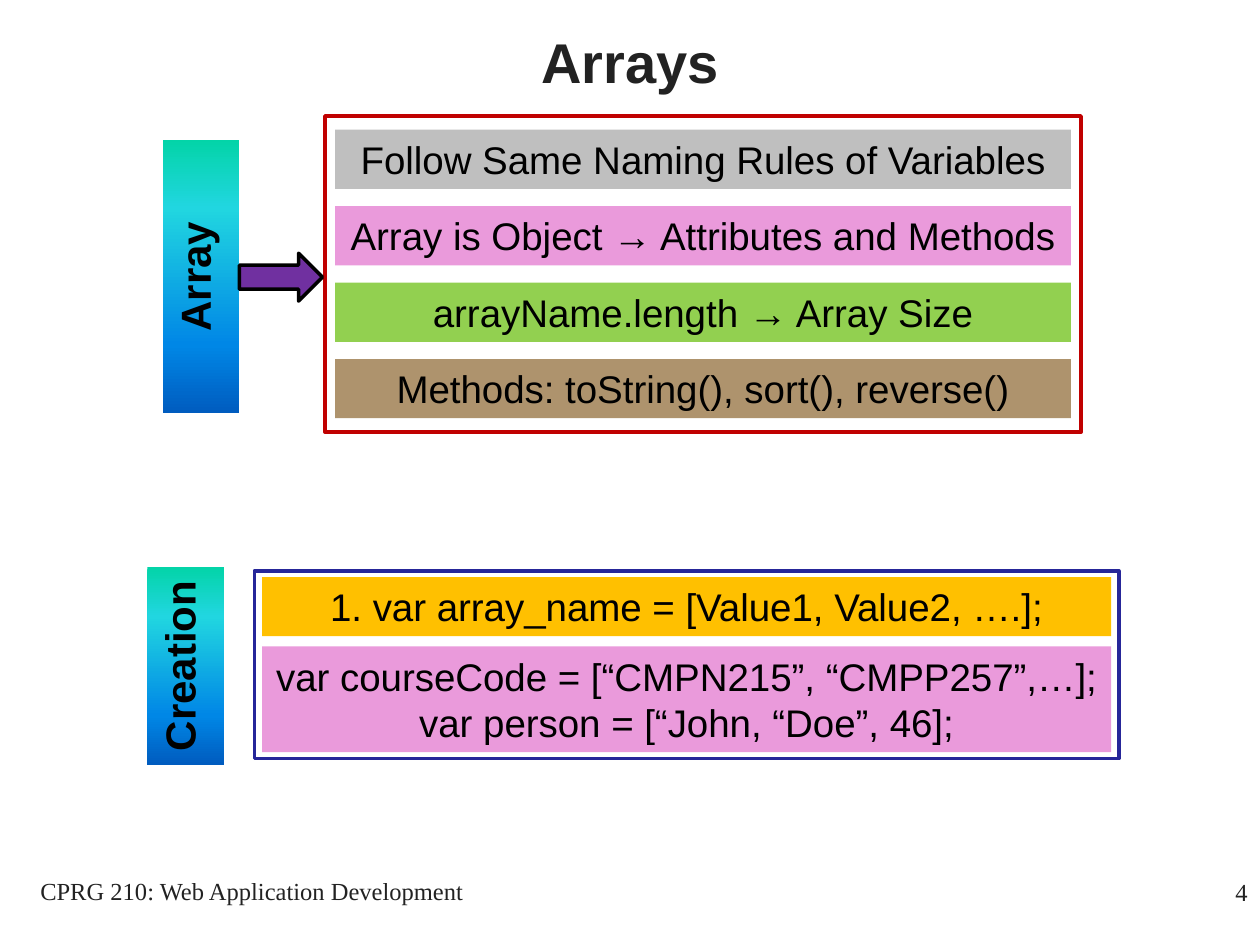
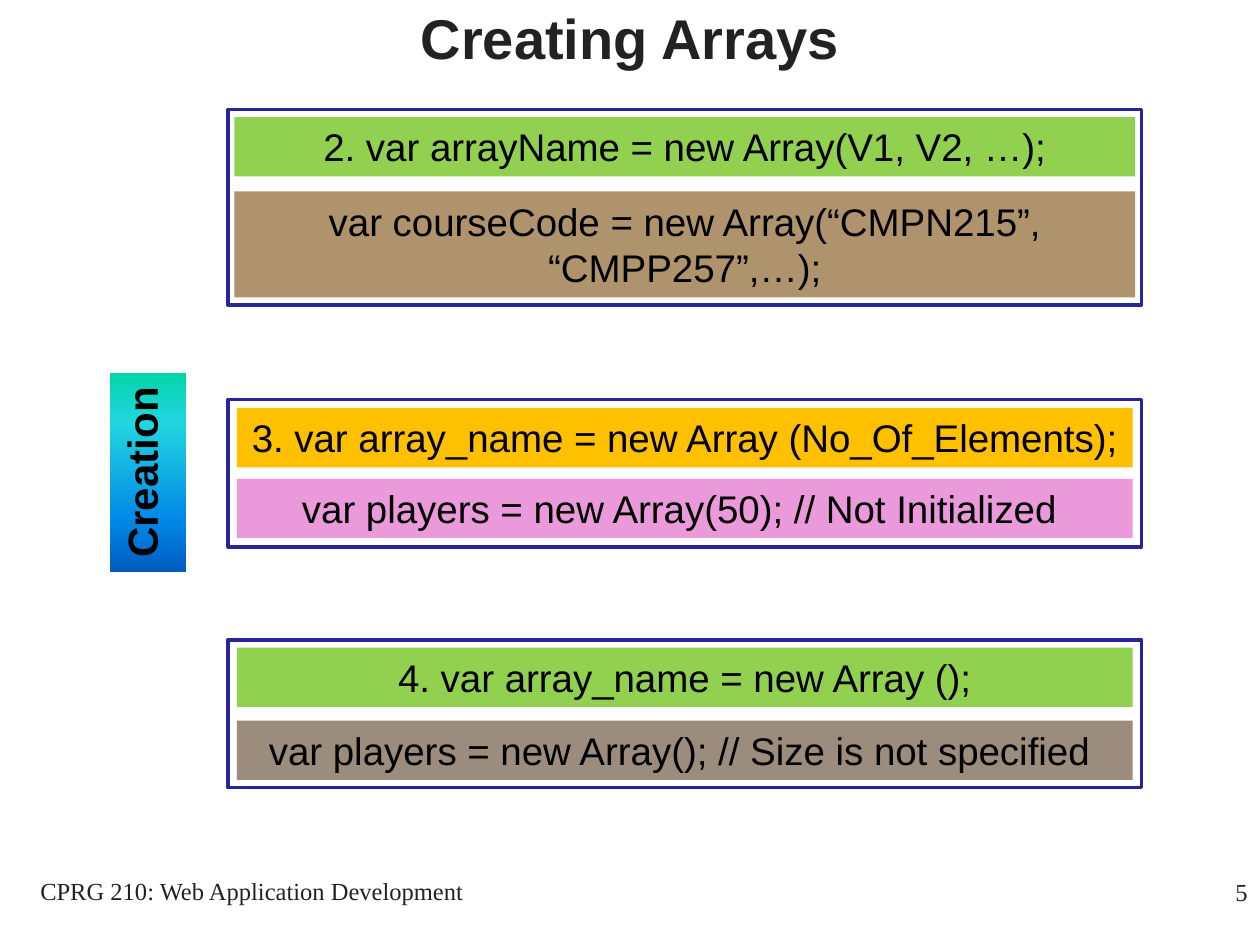
from lxml.etree import SubElement
from pptx import Presentation
from pptx.dml.color import RGBColor
from pptx.enum.shapes import MSO_SHAPE as SHAPE
from pptx.enum.text import MSO_ANCHOR as ANCHOR, PP_ALIGN as ALIGN
from pptx.oxml.ns import qn
from pptx.util import Inches, Pt

W, H = 10, 7.5
BAR_H = {1: 0.47, 2: 0.84}
TAG_W = 0.61
ARROW_H = 0.38
COLORS = {
    "text": "222222", "black": "000000", "grey": "BFBFBF", "pink": "EA9ADB",
    "green": "92D050", "amber": "FFC000", "brown": "886128", "umber": "6E5642",
    "red": "C00000", "navy": "262699", "purple": "7030A0",
}
ALPHA = {"brown": 68, "umber": 68}
TAG_STOPS = [(0, "03D4A8"), (25, "21D6E0"), (75, "0087E6"), (100, "005CBF")]
FOOTER = "CPRG 210: Web Application Development"

SLIDES = [
    {
        "title": "Arrays", "title_top": -0.14, "number": 4,
        "tags": [("Array", 1.29, 1.11, 2.17), ("Creation", 1.17, 4.5, 1.57)],
        "arrows": [(1.9, 2.2, 0.66)],
        "panels": [
            {"box": (2.58, 0.92, 6, 2.51), "pad": (0.08, 0.11), "line": "red", "bars": [
                ("grey", 1, ["Follow Same Naming Rules of Variables"]),
                ("pink", 1, ["Array is Object → Attributes and Methods"]),
                ("green", 1, ["arrayName.length → Array Size"]),
                ("brown", 1, ["Methods: toString(), sort(), reverse()"])]},
            {"box": (2.02, 4.53, 6.86, 1.49), "pad": (0.06, 0.05), "line": "navy", "bars": [
                ("amber", 1, ["1. var array_name = [Value1, Value2, ….];"]),
                ("pink", 2, ["var courseCode = [“CMPN215”, “CMPP257”,…];",
                             "var person = [“John, “Doe”, 46];"])]},
        ],
    },
    {
        "title": "Creating Arrays", "title_top": -0.33, "number": 5,
        "tags": [("Creation", 0.87, 2.96, 1.58)],
        "arrows": [],
        "panels": [
            {"box": (1.81, 0.87, 7.25, 1.55), "pad": (0.05, 0.06), "line": "navy", "bars": [
                ("green", 1, ["2. var arrayName = new Array(V1, V2, …);"]),
                ("brown", 2, ["var courseCode = new Array(“CMPN215”, “CMPP257”,…);"])]},
            {"box": (1.81, 3.17, 7.25, 1.17), "pad": (0.07, 0.07), "line": "navy", "bars": [
                ("amber", 1, ["3. var array_name = new Array (No_Of_Elements);"]),
                ("pink", 1, ["var players = new Array(50); // Not Initialized "])]},
            {"box": (1.81, 5.08, 7.25, 1.17), "pad": (0.07, 0.06), "line": "navy", "bars": [
                ("green", 1, ["4. var array_name = new Array ();"]),
                ("umber", 1, ["var players = new Array(); // Size is not specified "])]},
        ],
    },
]


def rgb(name):
    return RGBColor.from_string(COLORS[name])


def write(sp, lines, size, color="black", font="Arial", bold=False,
          align=ALIGN.CENTER, anchor=ANCHOR.TOP):
    tf = sp.text_frame
    tf.word_wrap = True
    tf.vertical_anchor = anchor
    for i, line in enumerate(lines):
        p = tf.add_paragraph() if i else tf.paragraphs[0]
        p.alignment = align
        r = p.add_run()
        r.text = line
        r.font.name, r.font.size, r.font.bold = font, Pt(size), bold
        r.font.color.rgb = rgb(color)


def add_text(s, box, text, size, **style):
    write(s.shapes.add_textbox(*map(Inches, box)), [text], size, **style)


def add_block(s, box, fill=None, line=None, kind=SHAPE.RECTANGLE):
    sp = s.shapes.add_shape(kind, *map(Inches, box))
    sp.shadow.inherit = False
    if fill:
        sp.fill.solid()
        sp.fill.fore_color.rgb = rgb(fill)
        if fill in ALPHA:
            clr = next(sp.element.spPr.iter(qn("a:srgbClr")))
            SubElement(clr, qn("a:alpha")).set("val", str(ALPHA[fill] * 1000))
    else:
        sp.fill.background()
    if line:
        sp.line.color.rgb = rgb(line)
        sp.line.width = Pt(2)
    else:
        sp.line.fill.background()
    return sp


def add_tag(s, text, x, y, h):
    sp = add_block(s, (x, y, TAG_W, h))
    sp.fill.gradient()
    grad = sp.element.spPr.find(qn("a:gradFill"))
    stops = grad.find(qn("a:gsLst"))
    for gs in list(stops):
        stops.remove(gs)
    for pos, color in TAG_STOPS:
        gs = SubElement(stops, qn("a:gs"))
        gs.set("pos", str(pos * 1000))
        SubElement(gs, qn("a:srgbClr")).set("val", color)
    grad.find(qn("a:lin")).set("ang", str(90 * 60000))
    sp.element.txBody.find(qn("a:bodyPr")).set("vert", "vert270")
    write(sp, [text], 24, bold=True)


def add_panel(s, box, pad, line, bars):
    x, y, w, h = box
    px, py = pad
    used = sum(BAR_H[rows] for _, rows, _ in bars)
    gap = (h - 2 * py - used) / (len(bars) - 1)
    top = y + py
    for fill, rows, lines in bars:
        write(add_block(s, (x + px, top, w - 2 * px, BAR_H[rows]), fill), lines, 22)
        top += BAR_H[rows] + gap
    add_block(s, box, line=line)


def add_slide(prs, data):
    s = prs.slides.add_slide(prs.slide_layouts[6])
    add_text(s, (0, data["title_top"], W, H / 6), data["title"], 32,
             color="text", bold=True, anchor=ANCHOR.MIDDLE)
    for tag in data["tags"]:
        add_tag(s, *tag)
    for panel in data["panels"]:
        add_panel(s, **panel)
    for x, middle, w in data["arrows"]:
        add_block(s, (x, middle - ARROW_H / 2, w, ARROW_H), "purple", "black",
                  SHAPE.RIGHT_ARROW)
    small = {"color": "text", "font": "Times New Roman"}
    add_text(s, (0, 6.9, 4, 0.5), FOOTER, 14, **small)
    add_text(s, (7.92, 6.91, 2.08, 0.5), str(data["number"]), 14,
             align=ALIGN.RIGHT, **small)


def main():
    prs = Presentation()
    prs.slide_width, prs.slide_height = Inches(W), Inches(H)
    for data in SLIDES:
        add_slide(prs, data)
    prs.save("out.pptx")


if __name__ == "__main__":
    main()
